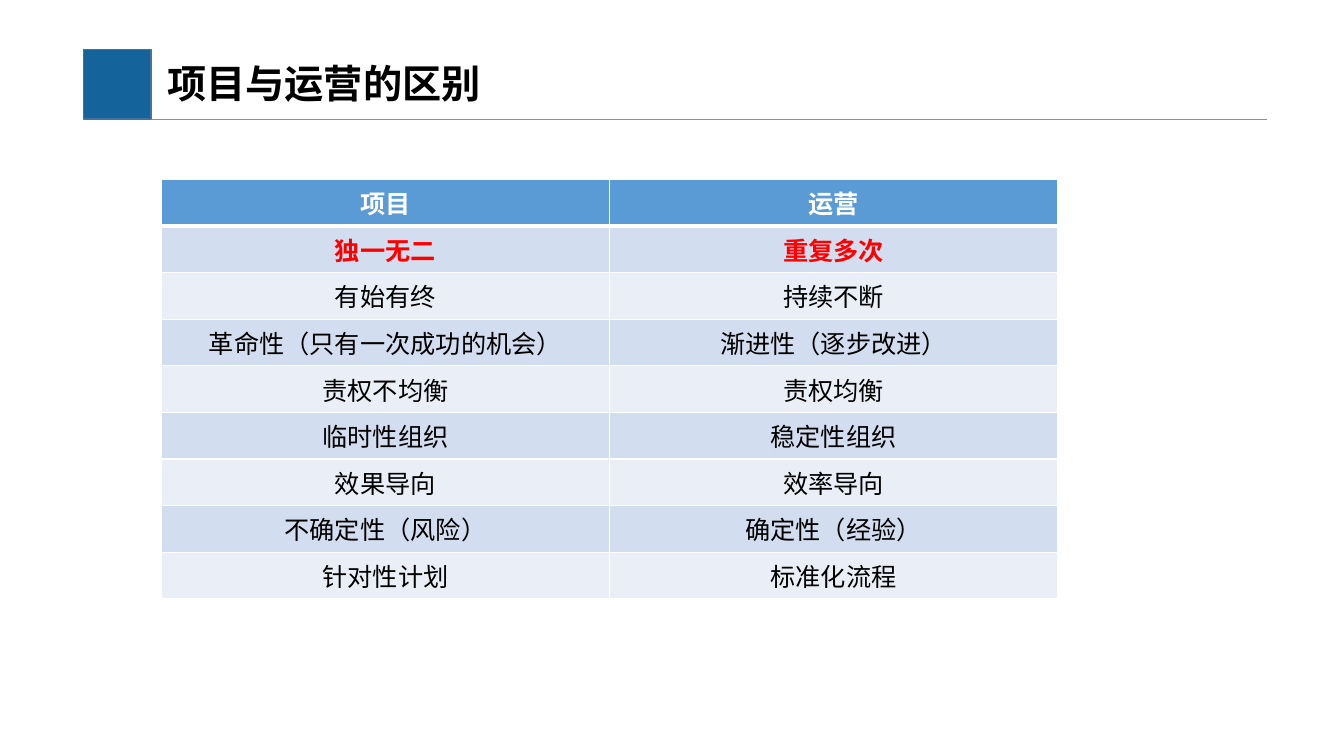
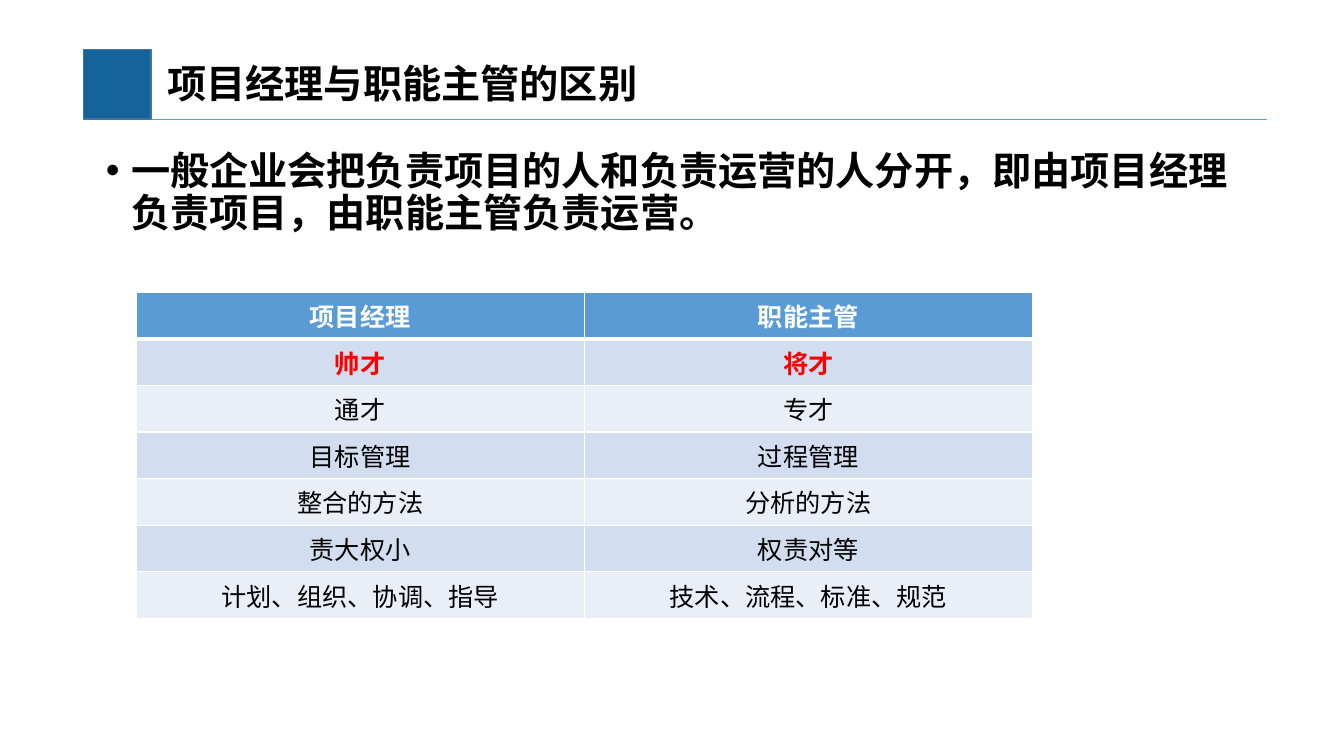
from lxml.etree import SubElement
from pptx import Presentation
from pptx.dml.color import RGBColor
from pptx.enum.shapes import MSO_CONNECTOR as Connector, MSO_SHAPE as Shape
from pptx.enum.text import MSO_ANCHOR as Anchor, MSO_AUTO_SIZE as AutoSize, PP_ALIGN as Align
from pptx.oxml.ns import qn
from pptx.util import Inches, Pt

# Shared style
FONT = "Noto Sans CJK SC"
BLACK = RGBColor(0x00, 0x00, 0x00)
WHITE = RGBColor(0xFF, 0xFF, 0xFF)
RED = RGBColor(0xFF, 0x00, 0x00)
DEEP_BLUE = RGBColor(0x15, 0x63, 0x9B)
EDGE_BLUE = RGBColor(0x43, 0x73, 0x9E)
HEADER_BLUE = RGBColor(0x5B, 0x9B, 0xD5)
BANDS = (RGBColor(0xD2, 0xDE, 0xEF), RGBColor(0xEA, 0xEF, 0xF7))

HEADING = {"size": Pt(28), "bold": True}
HEADER_CELL = {"size": Pt(18), "bold": True}
KEY_CELL = {"size": Pt(18), "bold": True}
PLAIN_CELL = {"size": Pt(18), "bold": False}

# Boxes: left, top, width, height in inches
SQUARE_BOX = (0.83, 0.49, 0.67, 0.69)
TITLE_BOX = (1.5, 0.5, 11.07, 0.7)
RULE_Y = 1.18
ROW_HEIGHT = 0.41

PROJECT_ROWS = [
    ("项目", "运营"),
    ("独一无二", "重复多次"),
    ("有始有终", "持续不断"),
    ("革命性（只有一次成功的机会）", "渐进性（逐步改进）"),
    ("责权不均衡", "责权均衡"),
    ("临时性组织", "稳定性组织"),
    ("效果导向", "效率导向"),
    ("不确定性（风险）", "确定性（经验）"),
    ("针对性计划", "标准化流程"),
]
MANAGER_ROWS = [
    ("项目经理", "职能主管"),
    ("帅才", "将才"),
    ("通才", "专才"),
    ("目标管理", "过程管理"),
    ("整合的方法", "分析的方法"),
    ("责大权小", "权责对等"),
    ("计划、组织、协调、指导", "技术、流程、标准、规范"),
]


def write(frame, text, color, style, align=Align.LEFT):
    """Write one formatted paragraph and return it."""
    paragraph = frame.paragraphs[0]
    paragraph.alignment = align
    run = paragraph.add_run()
    run.text = text
    for name, value in style.items():
        setattr(run.font, name, value)
    run.font.name = FONT
    run.font.color.rgb = color
    SubElement(run._r.get_or_add_rPr(), qn("a:ea"), typeface=FONT)
    return paragraph


def place(placeholder, box):
    placeholder.left, placeholder.top, placeholder.width, placeholder.height = map(Inches, box)
    frame = placeholder.text_frame
    frame.word_wrap = True
    frame.auto_size = AutoSize.NONE
    return frame


def add_master_band(master, slide):
    """Draw the title band once and hand it over to the master."""
    square = slide.shapes.add_shape(Shape.RECTANGLE, *map(Inches, SQUARE_BOX))
    square.shadow.inherit = False
    square.fill.solid()
    square.fill.fore_color.rgb = DEEP_BLUE
    square.line.color.rgb = EDGE_BLUE
    square.line.width = Pt(1)

    left, _, width, _ = TITLE_BOX
    rule = slide.shapes.add_connector(
        Connector.STRAIGHT, Inches(left), Inches(RULE_Y), Inches(left + width), Inches(RULE_Y))
    rule.line.color.rgb = HEADER_BLUE
    rule.line.width = Pt(0.5)
    SubElement(rule.element.spPr, qn("a:effectLst"))

    for part in (square, rule):
        master.shapes.element.append(part.element)


def add_title(slide, text):
    frame = place(slide.shapes.title, TITLE_BOX)
    frame.vertical_anchor = Anchor.MIDDLE
    frame.margin_left = Inches(0.16)
    write(frame, text, BLACK, HEADING).line_spacing = 0.9


def add_statement(slide, box, text):
    """Bulleted statement in the body placeholder."""
    frame = place(slide.placeholders[1], box)
    frame.vertical_anchor = Anchor.TOP
    statement = write(frame, text, BLACK, HEADING)
    statement.line_spacing = 0.9
    statement.space_before = Pt(10)
    properties = statement._p.get_or_add_pPr()
    properties.set("marL", str(Inches(0.25)))
    properties.set("indent", str(Inches(-0.25)))
    SubElement(properties, qn("a:buFont"), typeface="Arial")
    SubElement(properties, qn("a:buChar"), char="•")


def set_borders(cell, widths):
    """White cell borders; widths maps each side to points."""
    properties = cell._tc.get_or_add_tcPr()
    for side, width in widths.items():
        border = SubElement(properties, qn(f"a:ln{side}"), w=str(Pt(width)))
        fill = SubElement(border, qn("a:solidFill"))
        SubElement(fill, qn("a:srgbClr"), val=str(WHITE))


def add_comparison(slide, left, top, width, rows):
    """Two-column table: header, red key row, then banded rows."""
    table = slide.shapes.add_table(
        len(rows), 2, Inches(left), Inches(top), Inches(width),
        Inches(ROW_HEIGHT * len(rows))).table
    for row_no, texts in enumerate(rows):
        table.rows[row_no].height = Inches(ROW_HEIGHT)
        if row_no == 0:
            band, color, style = HEADER_BLUE, WHITE, HEADER_CELL
        else:
            band = BANDS[(row_no - 1) % 2]
            color, style = (RED, KEY_CELL) if row_no == 1 else (BLACK, PLAIN_CELL)
        widths = {"L": 1, "R": 1, "T": 3 if row_no == 1 else 1, "B": 3 if row_no == 0 else 1}
        for col_no, text in enumerate(texts):
            cell = table.cell(row_no, col_no)
            set_borders(cell, widths)
            cell.fill.solid()
            cell.fill.fore_color.rgb = band
            write(cell.text_frame, text, color, style, Align.CENTER)


def main():
    deck = Presentation()
    deck.slide_width, deck.slide_height = Inches(13.33), Inches(7.5)
    title_and_body, title_only = deck.slide_layouts[1], deck.slide_layouts[5]

    # Projects and operations
    projects = deck.slides.add_slide(title_only)
    add_master_band(deck.slide_master, projects)
    add_title(projects, "项目与运营的区别")
    add_comparison(projects, 1.6, 1.78, 8.89, PROJECT_ROWS)

    # Project managers and functional heads
    managers = deck.slides.add_slide(title_and_body)
    add_title(managers, "项目经理与职能主管的区别")
    add_statement(managers, (0.95, 1.45, 11.5, 0.99),
                  "一般企业会把负责项目的人和负责运营的人分开，"
                  "即由项目经理负责项目，由职能主管负责运营。")
    add_comparison(managers, 1.35, 2.9, 8.89, MANAGER_ROWS)

    deck.save("out.pptx")


if __name__ == "__main__":
    main()
